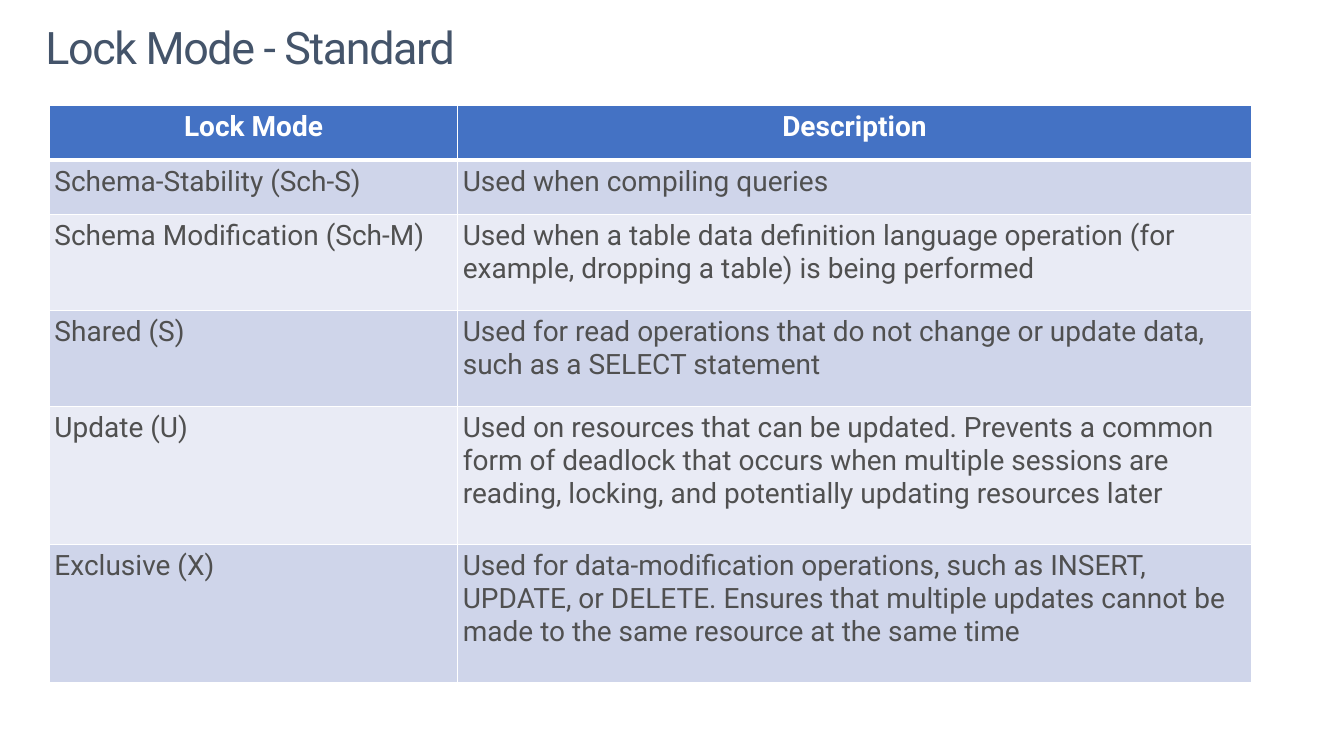
import pptx
import pptx.util
import pptx.dml.color
import pptx.enum.text
from dataclasses import dataclass
from lxml import etree
from pptx.oxml.ns import qn
from pptx.util import Inches


@dataclass(frozen=True)
class Theme:
    font: str = "Roboto"
    title_size: int = 32
    table_size: int = 20
    title: str = "44546A"
    header_text: str = "FFFFFF"
    body_text: str = "505050"
    header_fill: str = "4472C4"
    bands: tuple = ("CFD5EA", "E9EBF5")
    border: str = "FFFFFF"
    border_width: int = 1
    header_rule_width: int = 3


THEME = Theme()
ALIGN = pptx.enum.text.PP_ALIGN
ANCHOR = pptx.enum.text.MSO_ANCHOR

COLUMN_WIDTHS = (4.05, 7.87)
LINE_ROW_HEIGHTS = {1: 0.54, 2: 0.95, 3: 1.37}
HEADINGS = ("Lock Mode", "Description")

# Lock mode, description, lines the description takes
LOCK_MODES = (
    ("Schema-Stability (Sch-S)", "Used when compiling queries", 1),
    ("Schema Modification (Sch-M)",
     "Used when a table data definition language operation "
     "(for example, dropping a table) is being performed", 2),
    ("Shared (S)",
     "Used for read operations that do not change or update data, "
     "such as a SELECT statement", 2),
    ("Update (U)",
     "Used on resources that can be updated. Prevents a common form of "
     "deadlock that occurs when multiple sessions are reading, locking, "
     "and potentially updating resources later", 3),
    ("Exclusive (X)",
     "Used for data-modification operations, such as INSERT, UPDATE, or "
     "DELETE. Ensures that multiple updates cannot be made to the same "
     "resource at the same time", 3),
)


def rgb(color):
    return pptx.dml.color.RGBColor.from_string(color)


def write_text(frame, text, *, size, color, bold=False, align=ALIGN.LEFT,
               line_spacing=None, tracking=None):
    frame.word_wrap = True
    paragraph = frame.paragraphs[0]
    paragraph.alignment = align
    paragraph.line_spacing = line_spacing
    run = paragraph.add_run()
    run.text = text
    run.font.name = THEME.font
    run.font.size = pptx.util.Pt(size)
    run.font.bold = bold
    run.font.color.rgb = rgb(color)
    if tracking is not None:
        run.font._element.set("spc", str(int(tracking * 100)))


def add_title(slide, text):
    title = slide.shapes.add_textbox(
        Inches(0.29), Inches(0.16), Inches(12.75), Inches(0.98))
    frame = title.text_frame
    frame.margin_left = frame.margin_right = Inches(0.16)
    frame.margin_top = frame.margin_bottom = Inches(0.1)
    frame.vertical_anchor = ANCHOR.TOP
    write_text(frame, text, size=THEME.title_size, color=THEME.title,
               line_spacing=0.9, tracking=-1)


def set_borders(cell, top, bottom):
    properties = cell._tc.get_or_add_tcPr()
    widths = {"lnL": THEME.border_width, "lnR": THEME.border_width,
              "lnT": top, "lnB": bottom}
    for side, width in widths.items():
        line = etree.SubElement(properties, qn(f"a:{side}"),
                                w=str(pptx.util.Pt(width)))
        fill = etree.SubElement(line, qn("a:solidFill"))
        etree.SubElement(fill, qn("a:srgbClr"), val=THEME.border)


def format_cell(cell, text, row):
    is_header = row == 0
    cell.margin_left = cell.margin_right = Inches(0.05)
    cell.margin_top = cell.margin_bottom = Inches(0.05)
    cell.vertical_anchor = ANCHOR.TOP
    set_borders(
        cell,
        top=THEME.header_rule_width if row == 1 else THEME.border_width,
        bottom=THEME.header_rule_width if is_header else THEME.border_width)
    cell.fill.solid()
    cell.fill.fore_color.rgb = rgb(
        THEME.header_fill if is_header else THEME.bands[(row - 1) % 2])
    write_text(cell.text_frame, text, size=THEME.table_size, bold=is_header,
               color=THEME.header_text if is_header else THEME.body_text,
               align=ALIGN.CENTER if is_header else ALIGN.LEFT)


def add_lock_table(slide):
    rows = ((*HEADINGS, 1), *LOCK_MODES)
    heights = [LINE_ROW_HEIGHTS[lines] for *_, lines in rows]
    table = slide.shapes.add_table(
        len(rows), len(HEADINGS), Inches(0.49), Inches(1.05),
        Inches(sum(COLUMN_WIDTHS)), Inches(sum(heights))).table
    for column, width in zip(table.columns, COLUMN_WIDTHS):
        column.width = Inches(width)
    for row, (*texts, _) in enumerate(rows):
        table.rows[row].height = Inches(heights[row])
        for column, text in enumerate(texts):
            format_cell(table.cell(row, column), text, row)


def main():
    deck = pptx.Presentation()
    deck.slide_width = Inches(13.33)
    deck.slide_height = Inches(7.5)
    slide = deck.slides.add_slide(deck.slide_layouts[6])

    # Heading
    add_title(slide, "Lock Mode - Standard")

    # Lock modes and what each is used for
    add_lock_table(slide)

    deck.save("out.pptx")


if __name__ == "__main__":
    main()
